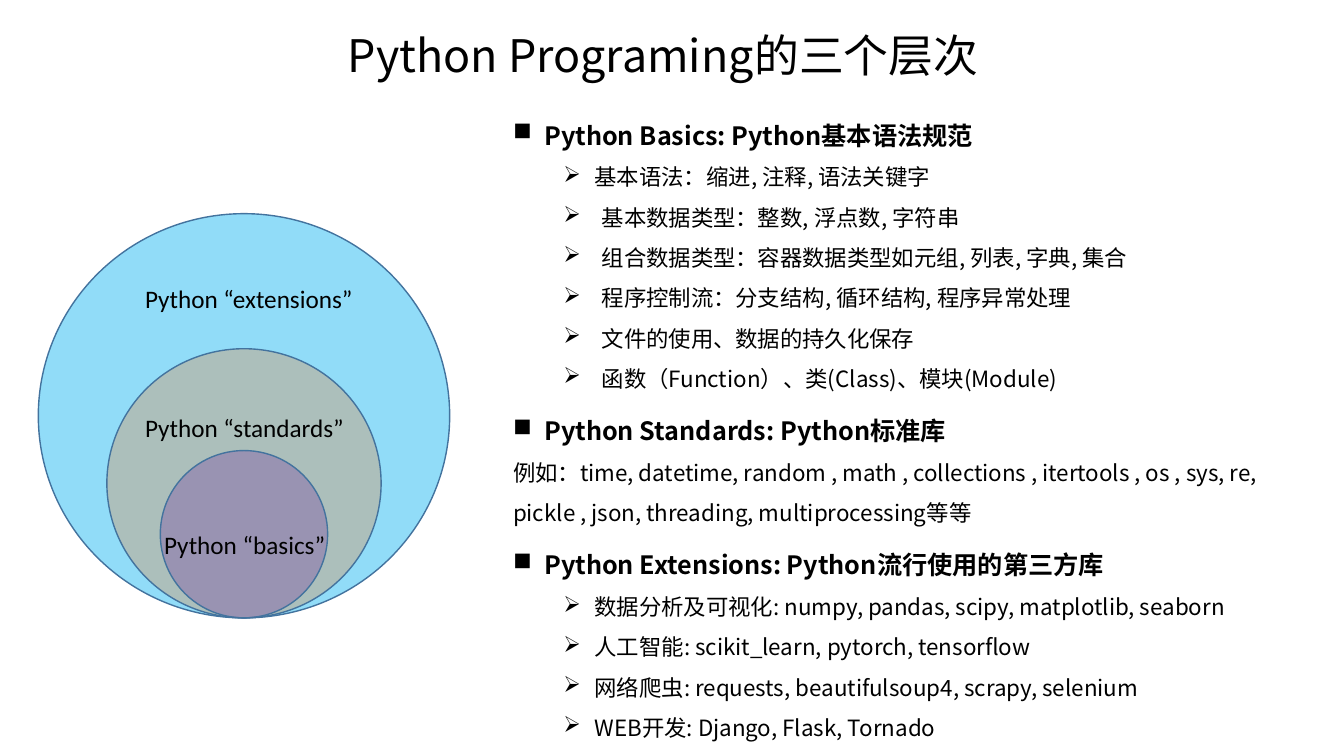
"""Build a slide on the three layers of Python programming."""
from pptx import Presentation
from pptx.dml.color import RGBColor
from pptx.enum.shapes import MSO_SHAPE
from pptx.enum.text import MSO_ANCHOR, MSO_AUTO_SIZE, PP_ALIGN
from pptx.oxml.ns import qn
from pptx.util import Inches, Pt
from lxml.etree import SubElement

TITLE = "Python Programing的三个层次"
BODY_FONT, LABEL_FONT = "Noto Sans CJK SC", "Calibri"
BLACK, OUTLINE = "000000", "43739E"
CENTER, BOTTOM = 2.42, 6.13

# width, height, fill, opacity in percent
CIRCLES = [
    (4.08, 4.01, "00B0F0", 43),
    (2.72, 2.67, "ED7D31", 30),
    (1.66, 1.66, "7030A0", 30),
]
# text, left, top, width
LABELS = [
    ("Python “basics”", 1.53, 5.2, 1.86),
    ("Python “standards”", 1.34, 4.04, 2.26),
    ("Python “extensions”", 1.34, 2.76, 2.34),
]
# bullet, left margin, hanging indent, level, size, bold, space before
STYLES = {
    "first": ("■", 0.31, 0.31, 0, 18, True, 0),
    "heading": ("■", 0.31, 0.31, 0, 18, True, 6),
    "item": ("➢", 0.81, 0.31, 1, 16, False, 0),
    "wide": ("➢", 0.88, 0.38, 1, 16, False, 0),
    "plain": ("", 0, 0, 0, 16, False, 0),
}
OUTLINE_TEXT = [
    ("first", "Python Basics: Python基本语法规范"),
    ("item", "基本语法：缩进, 注释, 语法关键字"),
    ("wide", "基本数据类型：整数, 浮点数, 字符串"),
    ("wide", "组合数据类型：容器数据类型如元组, 列表, 字典, 集合"),
    ("wide", "程序控制流：分支结构, 循环结构, 程序异常处理"),
    ("wide", "文件的使用、数据的持久化保存"),
    ("wide", "函数（Function）、类(Class)、模块(Module)"),
    ("heading", "Python Standards: Python标准库"),
    ("plain", "例如：time, datetime, random , math , collections , itertools , os , sys, re, "
              "pickle , json, threading, multiprocessing等等"),
    ("heading", "Python Extensions: Python流行使用的第三方库"),
    ("item", "数据分析及可视化: numpy, pandas, scipy, matplotlib, seaborn"),
    ("item", "人工智能: scikit_learn, pytorch, tensorflow"),
    ("item", "网络爬虫: requests, beautifulsoup4, scrapy, selenium"),
    ("item", "WEB开发: Django, Flask, Tornado"),
]


def color(value):
    return RGBColor.from_string(value)


def write(para, text, size, name, bold=False):
    para.text = text
    para.alignment = PP_ALIGN.LEFT
    font = para.font
    font.size, font.bold, font.name = Pt(size), bold, name
    font.color.rgb = color(BLACK)
    SubElement(font._element, qn("a:ea")).set("typeface", name)


def add_circle(page, width, height, fill, opacity):
    circle = page.shapes.add_shape(
        MSO_SHAPE.OVAL, Inches(CENTER - width / 2), Inches(BOTTOM - height),
        Inches(width), Inches(height))
    circle.shadow.inherit = False
    circle.fill.solid()
    circle.fill.fore_color.rgb = color(fill)
    tint = circle._element.spPr.find(qn("a:solidFill"))[0]
    SubElement(tint, qn("a:alpha")).set("val", str(opacity * 1000))
    circle.line.color.rgb = color(OUTLINE)
    circle.line.width = Pt(1)


def add_box(page, left, top, width, height, wrap):
    box = page.shapes.add_textbox(*map(Inches, (left, top, width, height)))
    box.text_frame.word_wrap = wrap
    return box.text_frame


def write_line(para, style, text):
    bullet, margin, hang, level, size, bold, before = STYLES[style]
    para.level = level
    para.line_spacing = 1.5
    para.space_before = Pt(before)
    settings = para._p.get_or_add_pPr()
    settings.set("marL", str(Inches(margin)))
    settings.set("indent", str(-Inches(hang)))
    if bullet:
        SubElement(settings, qn("a:buChar")).set("char", bullet)
    write(para, text, size, BODY_FONT, bold)


def main():
    deck = Presentation()
    deck.slide_width, deck.slide_height = Inches(13.33), Inches(7.5)
    page = deck.slides.add_slide(deck.slide_layouts[5])

    title = page.shapes.title
    title.left, title.top, title.width, title.height = map(Inches, (3.35, 0.22, 6.64, 0.64))
    frame = title.text_frame
    frame.word_wrap = False
    frame.auto_size = MSO_AUTO_SIZE.NONE
    frame.vertical_anchor = MSO_ANCHOR.TOP
    write(frame.paragraphs[0], TITLE, 32, BODY_FONT)

    for circle in CIRCLES:
        add_circle(page, *circle)
    for text, left, top, width in LABELS:
        label = add_box(page, left, top, width, 0.4, False)
        write(label.paragraphs[0], text, 18, LABEL_FONT)

    body = add_box(page, 4.99, 0.99, 8.1, 6.38, True)
    for index, (style, text) in enumerate(OUTLINE_TEXT):
        para = body.add_paragraph() if index else body.paragraphs[0]
        write_line(para, style, text)

    deck.save("out.pptx")


if __name__ == "__main__":
    main()
